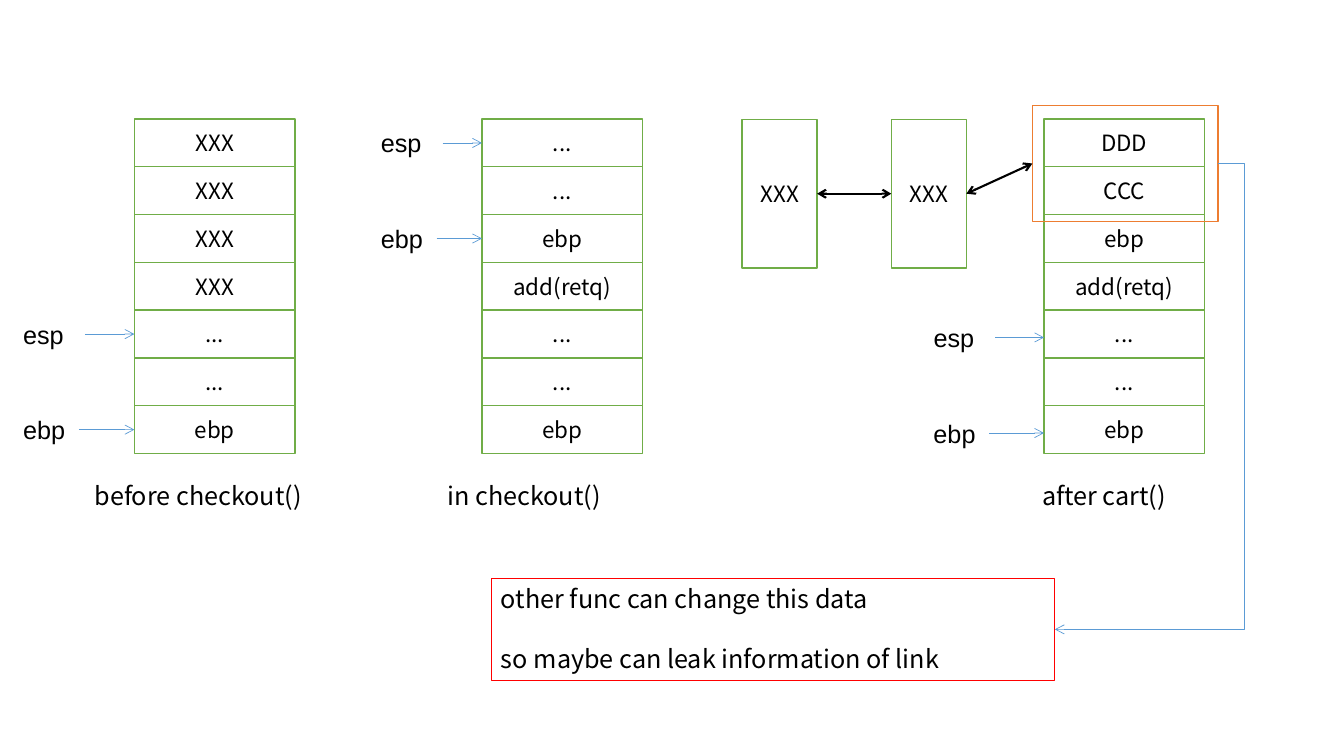
from lxml.etree import SubElement
from pptx import Presentation
from pptx.dml.color import RGBColor
from pptx.enum.shapes import MSO_CONNECTOR, MSO_SHAPE
from pptx.enum.text import MSO_ANCHOR, PP_ALIGN
from pptx.oxml.ns import qn
from pptx.util import Inches, Pt

BLACK = RGBColor(0x00, 0x00, 0x00)
WHITE = RGBColor(0xFF, 0xFF, 0xFF)
GREEN = RGBColor(0x70, 0xAD, 0x47)
BLUE = RGBColor(0x5B, 0x9B, 0xD5)
ORANGE = RGBColor(0xED, 0x7D, 0x31)
RED = RGBColor(0xFF, 0x00, 0x00)

SANS = "Noto Sans CJK SC"
ARIAL = "Arial"

# The slide is a grid of 100 columns by 100 rows
WIDTH, HEIGHT = Inches(13.33), Inches(7.5)
STACK_TOP, CELL_W, CELL_H = 15.75, 11.95, 6.32
LABEL_H = 5.33
LABEL_WIDTHS = {"esp": 5.33, "ebp": 4.88}

# Left edge, cells, caption and its left edge and width
# then label left edge, label drop and the row each register points to
STACKS = [
    (10, ["XXX"] * 4 + ["...", "...", "ebp"],
     "before checkout()", 6.3, 22.6, 0.98, 0, {"esp": 4, "ebp": 6}),
    (35.86, ["...", "...", "ebp", "add(retq)", "...", "...", "ebp"],
     "in checkout()", 32.56, 22.6, 27.6, 0, {"esp": 0, "ebp": 2}),
    (77.68, ["DDD", "CCC", "ebp", "add(retq)", "...", "...", "ebp"],
     "after cart()", 76.8, 16, 68.72, 0.45, {"esp": 4, "ebp": 6}),
]


def col(n):
    return round(WIDTH * n / 100)


def row(n):
    return round(HEIGHT * n / 100)


def write(s, *lines, size=18, font=SANS, align=PP_ALIGN.LEFT,
          anchor=MSO_ANCHOR.TOP, gap=0):
    """Write one paragraph per line, with gap points between them."""
    tf = s.text_frame
    tf.word_wrap = True
    tf.vertical_anchor = anchor
    for i, line in enumerate(lines):
        p = tf.add_paragraph() if i else tf.paragraphs[0]
        p.alignment = align
        p.space_before = Pt(gap if i else 0)
        r = p.add_run()
        r.text = line
        r.font.size, r.font.name = Pt(size), font
        r.font.color.rgb = BLACK


def add_label(slide, text, x, y, w, **style):
    s = slide.shapes.add_textbox(col(x), row(y), col(w), row(LABEL_H))
    write(s, text, **style)
    return s


def add_box(slide, x, y, w, h, line, weight=1, fill=None):
    s = slide.shapes.add_shape(MSO_SHAPE.RECTANGLE,
                               col(x), row(y), col(w), row(h))
    s.shadow.inherit = False
    if fill is None:
        s.fill.background()
    else:
        s.fill.solid()
        s.fill.fore_color.rgb = fill
    s.line.color.rgb = line
    s.line.width = Pt(weight)
    return s


def add_cell(slide, text, x, y, w, h):
    s = add_box(slide, x, y, w, h, GREEN, fill=WHITE)
    write(s, text, size=16, align=PP_ALIGN.CENTER, anchor=MSO_ANCHOR.MIDDLE)
    return s


def add_arrow(slide, start, end, color, weight, end_side=1, both=False,
              kind=MSO_CONNECTOR.STRAIGHT):
    """Join the right side of start to a side of end, or to an (x, y) point."""
    x, y = end if isinstance(end, tuple) else (
        end.left + (end.width if end_side == 3 else 0),
        end.top + end.height // 2)
    s = slide.shapes.add_connector(kind, start.left + start.width,
                                   start.top + start.height // 2, x, y)
    s.begin_connect(start, 3)
    if not isinstance(end, tuple):
        s.end_connect(end, end_side)
    s.line.color.rgb = color
    s.line.width = Pt(weight)
    ln = s.line._get_or_add_ln()
    for tag in ["a:headEnd", "a:tailEnd"] if both else ["a:tailEnd"]:
        SubElement(ln, qn(tag), type="arrow")
    SubElement(s._element.spPr, qn("a:effectLst"))
    return s


def add_stack(slide, x, cells, caption, caption_x, caption_w,
              label_x, drop, registers):
    boxes = [add_cell(slide, text, x, STACK_TOP + i * CELL_H, CELL_W, CELL_H)
             for i, text in enumerate(cells)]
    add_label(slide, caption, caption_x, 62.93, caption_w)
    for name, i in registers.items():
        middle = STACK_TOP + (i + 0.5) * CELL_H + drop
        label = add_label(slide, name, label_x, middle - LABEL_H / 2,
                          LABEL_WIDTHS[name], font=ARIAL)
        target = (col(x), row(middle)) if drop else boxes[i]
        add_arrow(slide, label, target, BLUE, 0.5)


def main():
    prs = Presentation()
    prs.slide_width, prs.slide_height = WIDTH, HEIGHT
    slide = prs.slides.add_slide(prs.slide_layouts[6])

    # Memory stacks with their register pointers
    for stack in STACKS:
        add_stack(slide, *stack)

    # Linked list nodes and the stack cells that end the list
    first, second = [add_cell(slide, "XXX", x, 15.8, 5.58, 19.65)
                     for x in (55.22, 66.32)]
    frame = add_box(slide, 76.82, 13.95, 13.8, 15.35, ORANGE)
    add_arrow(slide, first, second, BLACK, 1.5, both=True)
    add_arrow(slide, second, frame, BLACK, 1.5, both=True)

    # Note on the framed cells
    note = add_box(slide, 36.54, 76.5, 41.95, 13.5, RED, weight=0.75)
    write(note, "other func can change this data",
          "so maybe can leak information of link", gap=21.6)
    elbow = add_arrow(slide, frame, note, BLUE, 0.5, end_side=3,
                      kind=MSO_CONNECTOR.ELBOW)
    guides = elbow._element.spPr.prstGeom.get_or_add_avLst()
    SubElement(guides, qn("a:gd"), name="adj1", fmla="val -16200")

    prs.save("out.pptx")


if __name__ == "__main__":
    main()
